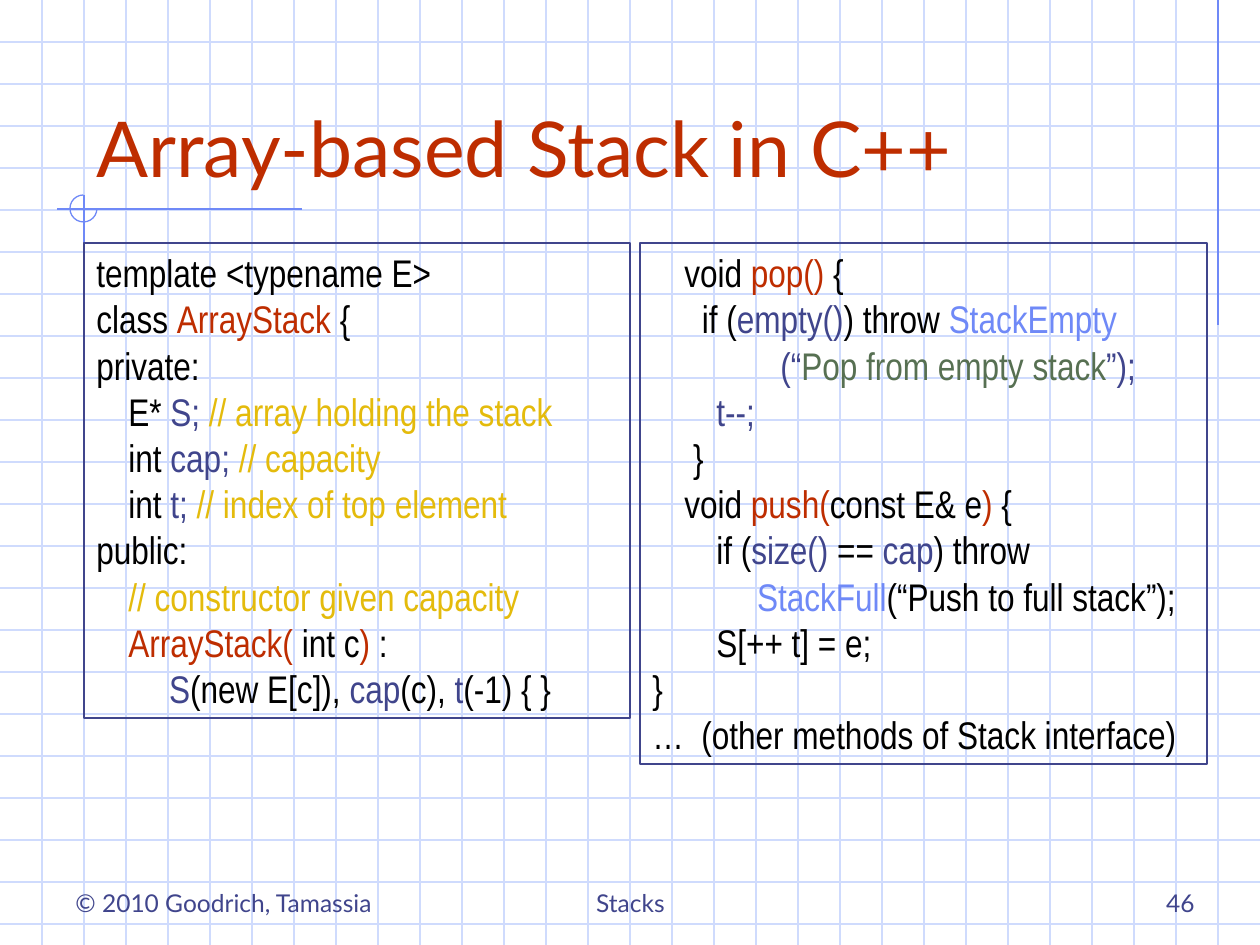
from lxml import etree
from pptx import Presentation
from pptx.dml.color import RGBColor
from pptx.enum.shapes import MSO_CONNECTOR, MSO_SHAPE
from pptx.enum.text import MSO_ANCHOR, MSO_AUTO_SIZE, PP_ALIGN
from pptx.oxml.ns import qn
from pptx.util import Pt

EMU_PER_PX = 914400 / 126
WIDTH, HEIGHT = 1260, 945
GRID_STEP = 42
INDENT = 32

GRID = RGBColor(0xCF, 0xDB, 0xFD)
BLUE = RGBColor(0x6F, 0x89, 0xF7)
NAVY = RGBColor(0x40, 0x45, 0x8C)
RED = RGBColor(0xBE, 0x2D, 0x00)
GOLD = RGBColor(0xE4, 0xBB, 0x0C)
GREEN = RGBColor(0x57, 0x70, 0x52)
BLACK = RGBColor(0x00, 0x00, 0x00)

CLASS_CODE = [
    (0, [("template <typename E>", BLACK)]),
    (0, [("class ", BLACK), ("ArrayStack", RED), (" {", BLACK)]),
    (0, [("private:", BLACK)]),
    (1, [("E*", BLACK), (" S;", NAVY), (" // array holding the stack", GOLD)]),
    (1, [("int", BLACK), (" cap;", NAVY), (" // capacity", GOLD)]),
    (1, [("int", BLACK), (" t;", NAVY), (" // index of top element", GOLD)]),
    (0, [("public:", BLACK)]),
    (1, [("// constructor given capacity", GOLD)]),
    (1, [("ArrayStack( ", RED), ("int c", BLACK), (") ", RED), (":", BLACK)]),
    (2, [(" ", BLACK), ("S", NAVY), ("(new E[c]), ", BLACK), ("cap", NAVY),
         ("(c), ", BLACK), ("t", NAVY), ("(-1) { }", BLACK)]),
]
METHOD_CODE = [
    (1, [("void ", BLACK), ("pop()", RED), (" {", BLACK)]),
    (1, [("  if (", BLACK), ("empty()", NAVY), (") throw ", BLACK), ("StackEmpty", BLUE)]),
    (4, [("(“", NAVY), ("Pop from empty stack", GREEN), ("”);", NAVY)]),
    (2, [("t--;", NAVY)]),
    (1, [(" }", BLACK)]),
    (1, [("void ", BLACK), ("push(", RED), ("const E& e", BLACK), (")", RED), (" {", BLACK)]),
    (2, [("if (", BLACK), ("size() ", NAVY), ("== ", BLACK), ("cap", NAVY), (") throw", BLACK)]),
    (3, [(" StackFull", BLUE), ("(“Push to full stack”);", BLACK)]),
    (2, [("S[++ t] = e;", BLACK)]),
    (0, [("}", BLACK)]),
    (0, [("…  (other methods of Stack interface)", BLACK)]),
]


def px(n):
    return round(n * EMU_PER_PX)


def add_line(s, x1, y1, x2, y2, color):
    line = s.shapes.add_connector(MSO_CONNECTOR.STRAIGHT, px(x1), px(y1), px(x2), px(y2))
    line.line.color.rgb = color
    line.line.width = Pt(0.75)
    etree.SubElement(line._element.spPr, qn("a:effectLst"))


def add_shape(s, kind, x, y, w, h, color):
    sp = s.shapes.add_shape(kind, px(x), px(y), px(w), px(h))
    sp.shadow.inherit = False
    sp.fill.background()
    sp.line.color.rgb = color
    sp.line.width = Pt(0.75)
    return sp


def format_run(r, font, size, color):
    r.font.name = font
    r.font.size = Pt(size)
    r.font.color.rgb = color


def add_label(s, x, y, w, h, text, size, color, align=PP_ALIGN.LEFT):
    tf = s.shapes.add_textbox(px(x), px(y), px(w), px(h)).text_frame
    tf.word_wrap = True
    tf.vertical_anchor = MSO_ANCHOR.BOTTOM
    tf.text = text
    p = tf.paragraphs[0]
    p.alignment = align
    format_run(p.runs[0], "Lato", size, color)


def add_grid(s, w, h):
    for y in range(GRID_STEP, h, GRID_STEP):
        add_line(s, 0, y, w, y, GRID)
    for x in range(GRID_STEP, w, GRID_STEP):
        add_line(s, x, 0, x, h, GRID)


def add_ornament(s, x, y):
    add_line(s, x + 218, y, x - 27, y, BLUE)
    add_line(s, x, y - 14, x, y + 306, BLUE)
    arc = add_shape(s, MSO_SHAPE.ARC, x - 14, y - 14, 27, 27, BLUE)
    arc.adjustments[0] = 0
    arc.adjustments[1] = 162


def add_code(s, x, y, w, h, lines):
    sp = add_shape(s, MSO_SHAPE.RECTANGLE, x, y, w, h, NAVY)
    tf = sp.text_frame
    tf.word_wrap = True
    tf.auto_size = MSO_AUTO_SIZE.SHAPE_TO_FIT_TEXT
    tf.vertical_anchor = MSO_ANCHOR.TOP
    for i, (level, parts) in enumerate(lines):
        p = tf.add_paragraph() if i else tf.paragraphs[0]
        p.alignment = PP_ALIGN.LEFT
        p._p.get_or_add_pPr().set("marL", str(px(level * INDENT)))
        for text, color in parts:
            r = p.add_run()
            r.text = text
            format_run(r, "Arial Narrow", 22, color)


def add_footer(s, y, h):
    add_label(s, 63, y, 357, h, "© 2010 Goodrich, Tamassia", 14, NAVY)
    add_label(s, 431, y, 399, h, "Stacks", 14, NAVY, PP_ALIGN.CENTER)
    add_label(s, 945, y, 262, h, "46", 14, NAVY, PP_ALIGN.RIGHT)


def main():
    prs = Presentation()
    prs.slide_width, prs.slide_height = px(WIDTH), px(HEIGHT)
    s = prs.slides.add_slide(prs.slide_layouts[6])
    add_grid(s, WIDTH, HEIGHT)
    add_line(s, 1218, 0, 1218, 325, BLUE)
    add_ornament(s, 84, 209)
    add_label(s, 84, 42, 1071, 157, "Array-based Stack in C++", 44, RED)
    add_code(s, 84, 243, 546, 475, CLASS_CODE)
    add_code(s, 640, 243, 567, 521, METHOD_CODE)
    add_footer(s, 861, 63)
    prs.save("out.pptx")


if __name__ == "__main__":
    main()
